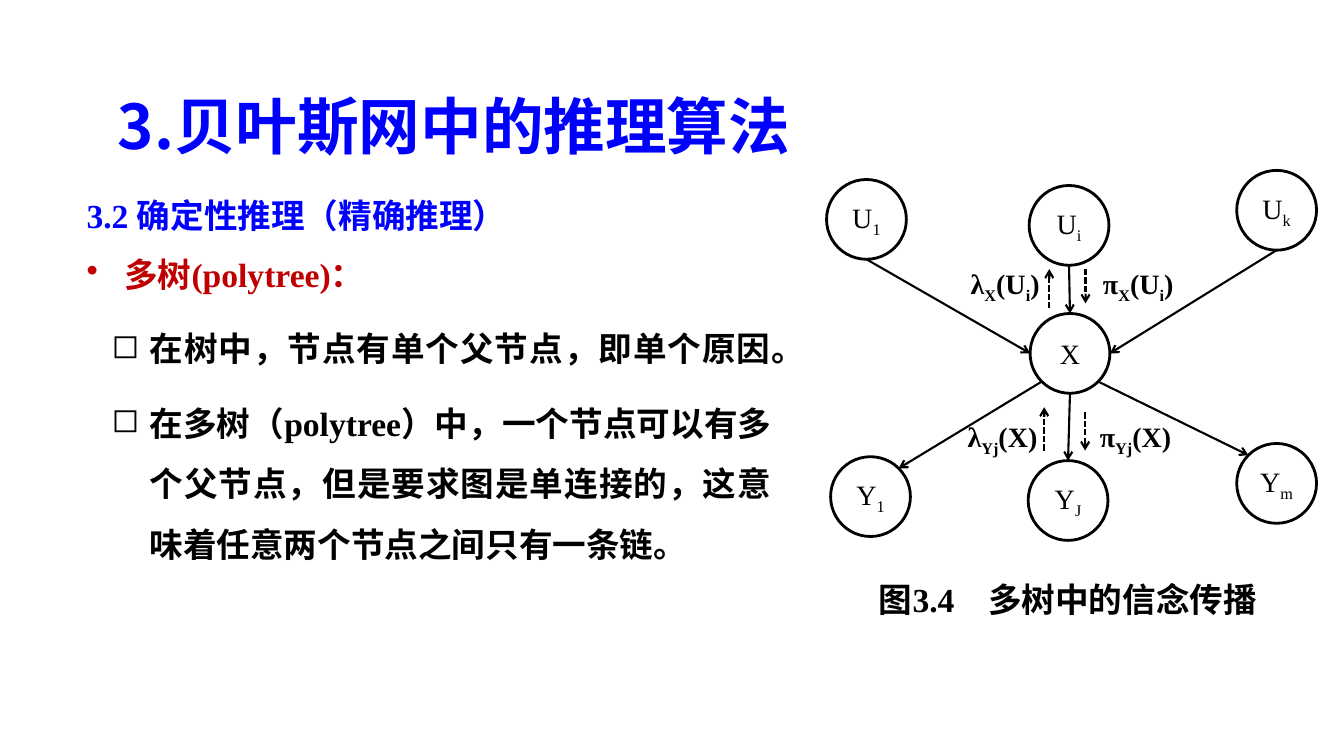
from dataclasses import dataclass
from math import cos, radians, sin

from lxml.etree import SubElement
from pptx import Presentation
from pptx.dml.color import RGBColor
from pptx.enum.dml import MSO_LINE
from pptx.enum.shapes import MSO_CONNECTOR, MSO_SHAPE
from pptx.enum.text import MSO_ANCHOR, PP_ALIGN
from pptx.oxml.ns import qn
from pptx.util import Pt


@dataclass(frozen=True)
class Theme:
    blue: RGBColor = RGBColor(0x00, 0x00, 0xFF)
    red: RGBColor = RGBColor(0xC0, 0x00, 0x00)
    black: RGBColor = RGBColor(0x00, 0x00, 0x00)
    latin: str = "Times New Roman"
    cjk: str = "Noto Sans CJK SC"
    title: int = 44
    body: int = 24
    node: int = 20


THEME = Theme()
NODE_SIZE = 57

# Node name -> left, top and label; "_" switches subscript on and off
NODES = {
    "U1": (590.4, 128.2, "U_1"),
    "Ui": (735.1, 132.5, "U_i"),
    "Uk": (883.4, 121.7, "U_k"),
    "X": (735.8, 223.9, "X"),
    "Y1": (593.3, 326.2, "Y_1"),
    "YJ": (734.4, 329, "Y_J"),
    "Ym": (883.4, 316.8, "Y_m"),
}
# Start node, angle on its rim, end node, angle on its rim (clockwise from right)
EDGES = [
    ("U1", 90, "X", 180),
    ("Ui", 90, "X", 270),
    ("Uk", 90, "X", 0),
    ("X", 135, "Y1", 315),
    ("X", 45, "Ym", 225),
    ("X", 90, "YJ", 270),
]
# Dashed messages: x, start y, end y
MESSAGES = [
    (749.5, 220.3, 192.2),
    (775.4, 192.2, 216.7),
    (745.9, 321.8, 290.9),
    (775.1, 294.5, 321.8),
]
LABELS = [
    (686.2, 186.5, "λ_X_(U_i_)\tπ_X_(U_i_)"),
    (684, 295.9, "λ_Yj_(X)\tπ_Yj_(X)"),
]
# Text, colour, line spacing, space before, left margin, bullet
BODY = [
    ("3.2 确定性推理（精确推理）", THEME.blue, 1.5, 0, 0, None),
    ("多树(polytree)：", THEME.red, 1.3, 5, 27, "•"),
    ("在树中，节点有单个父节点，即单个原因。", THEME.black, 1.5, 10, 45, "◻"),
    ("在多树（polytree）中，一个节点可以有多个父节点，但是要求图是单连接的，"
     "这意味着任意两个节点之间只有一条链。", THEME.black, 1.5, 10, 45, "◻"),
]


def write(p, text, size, color=THEME.black, bold=True, latin=THEME.latin):
    """Add runs to a paragraph; every second part between "_" is a subscript."""
    for i, part in enumerate(text.split("_")):
        r = p.add_run()
        r.text = part
        r.font.size = Pt(size)
        r.font.bold = bold
        r.font.color.rgb = color
        r.font.name = latin
        rPr = r.font._element
        SubElement(rPr, qn("a:ea")).set("typeface", THEME.cjk)
        if i % 2:
            rPr.set("baseline", "-25000")


def add_text_box(s, left, top, width, height, anchor=MSO_ANCHOR.TOP):
    tf = s.shapes.add_textbox(Pt(left), Pt(top), Pt(width), Pt(height)).text_frame
    tf.word_wrap = True
    tf.vertical_anchor = anchor
    return tf


def set_bullet(p, char, margin):
    pPr = p._p.get_or_add_pPr()
    pPr.set("marL", str(Pt(margin)))
    pPr.set("indent", str(Pt(-27)))
    SubElement(pPr, qn("a:buChar")).set("char", char)


def set_tab(p, position):
    tabs = SubElement(p._p.get_or_add_pPr(), qn("a:tabLst"))
    tab = SubElement(tabs, qn("a:tab"))
    tab.set("pos", str(Pt(position)))
    tab.set("algn", "l")


def add_body(s):
    tf = add_text_box(s, 54.7, 121, 503.3, 403.2)
    for i, (text, color, spacing, before, margin, bullet) in enumerate(BODY):
        p = tf.add_paragraph() if i else tf.paragraphs[0]
        if bullet:
            set_bullet(p, bullet, margin)
        p.line_spacing = spacing
        p.space_before = Pt(before)
        if bullet == "◻":
            p.alignment = PP_ALIGN.JUSTIFY
        write(p, text, THEME.body, color)


def add_node(s, left, top, label):
    sp = s.shapes.add_shape(MSO_SHAPE.OVAL, Pt(left), Pt(top), Pt(NODE_SIZE), Pt(NODE_SIZE))
    sp.shadow.inherit = False
    sp.fill.background()
    sp.line.color.rgb = THEME.black
    sp.line.width = Pt(2)
    tf = sp.text_frame
    tf.word_wrap = False
    tf.vertical_anchor = MSO_ANCHOR.MIDDLE
    p = tf.paragraphs[0]
    p.alignment = PP_ALIGN.CENTER
    write(p, label, THEME.node, bold=False)


def rim_point(name, angle):
    left, top, _ = NODES[name]
    radius = NODE_SIZE / 2
    return (left + radius * (1 + cos(radians(angle))),
            top + radius * (1 + sin(radians(angle))))


def add_arrow(s, start, end, dashed=False):
    points = [Pt(v) for v in (*start, *end)]
    line = s.shapes.add_connector(MSO_CONNECTOR.STRAIGHT, *points)
    line.line.color.rgb = THEME.black
    line.line.width = Pt(1.5)
    if dashed:
        line.line.dash_style = MSO_LINE.SQUARE_DOT
    SubElement(line.line._get_or_add_ln(), qn("a:tailEnd")).set("type", "arrow")
    SubElement(line._element.spPr, qn("a:effectLst"))


def main():
    prs = Presentation()
    prs.slide_width, prs.slide_height = Pt(960), Pt(540)
    s = prs.slides.add_slide(prs.slide_layouts[6])

    # Title and body text
    p = add_text_box(s, 77, 40.3, 828, 104.4, MSO_ANCHOR.MIDDLE).paragraphs[0]
    p.line_spacing = 0.9
    write(p, "3.贝叶斯网中的推理算法", THEME.title, THEME.blue, latin=THEME.cjk)
    add_body(s)

    # Polytree diagram
    for node in NODES.values():
        add_node(s, *node)
    for start, start_angle, end, end_angle in EDGES:
        add_arrow(s, rim_point(start, start_angle), rim_point(end, end_angle))
    for x, y1, y2 in MESSAGES:
        add_arrow(s, (x, y1), (x, y2), dashed=True)

    # Message labels
    for left, top, text in LABELS:
        p = add_text_box(s, left, top, 168, 31.7).paragraphs[0]
        set_tab(p, 94.5)
        write(p, text, THEME.node)

    # Caption
    p = add_text_box(s, 577.4, 409.7, 370.8, 36).paragraphs[0]
    p.alignment = PP_ALIGN.CENTER
    write(p, "图3.4　多树中的信念传播", THEME.body)

    prs.save("out.pptx")


if __name__ == "__main__":
    main()
